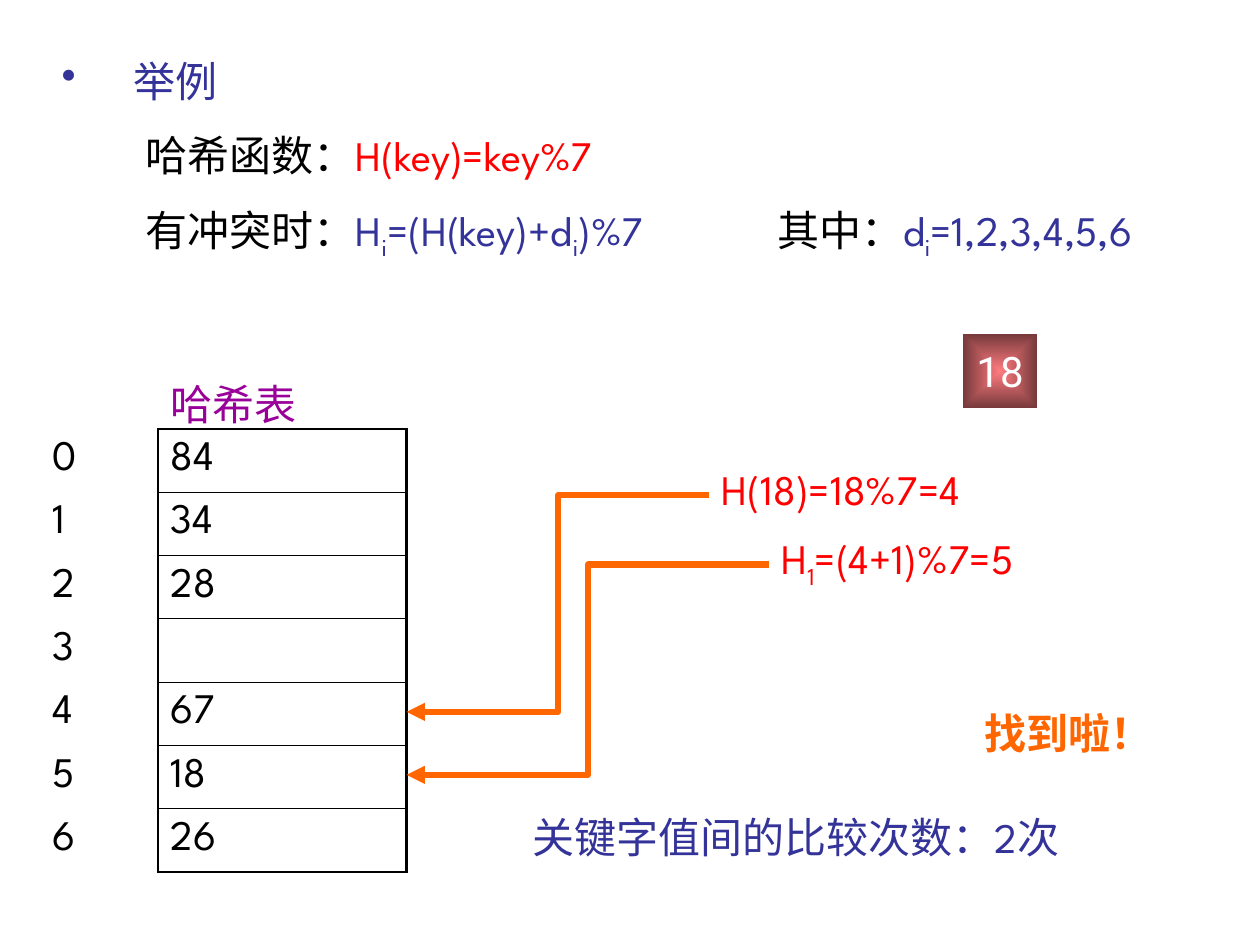
import pptx
import pptx.util
import pptx.dml.color
import pptx.enum.shapes
import pptx.enum.text
import pptx.oxml.ns
import pptx.oxml.xmlchemy

Pt = pptx.util.Pt
qn = pptx.oxml.ns.qn
ALIGN = pptx.enum.text.PP_ALIGN
MIDDLE = pptx.enum.text.MSO_ANCHOR.MIDDLE
SHAPE = pptx.enum.shapes.MSO_SHAPE
ELBOW = pptx.enum.shapes.MSO_CONNECTOR.ELBOW

COLORS = {
    "black": "000000", "white": "FFFFFF", "blue": "333399", "red": "FF0000",
    "purple": "990099", "orange": "FF6600", "pink": "FF7C80", "wine": "76393B",
}
LATIN = "League Spartan"
HAN = "Noto Sans CJK SC"
KEYS = ["84", "34", "28", "", "67", "18", "26"]


def rgb(name):
    return pptx.dml.color.RGBColor.from_string(COLORS[name])


def child(parent, tag, **attrs):
    node = pptx.oxml.xmlchemy.OxmlElement(tag)
    for key, value in attrs.items():
        node.set(key, value)
    parent.append(node)
    return node


def style(run, color, face=LATIN, bold=False):
    run.font.size = Pt(24)
    run.font.name = face
    run.font.bold = bold
    run.font.color.rgb = rgb(color)
    child(run.font._element, "a:ea", typeface=HAN)


def add_text(slide, box, parts, face=LATIN, bold=False, wrap=True, align=ALIGN.JUSTIFY):
    frame = slide.shapes.add_textbox(*map(Pt, box)).text_frame
    frame.word_wrap = wrap
    para = frame.paragraphs[0]
    para.alignment = align
    for text, color, *sub in parts:
        run = para.add_run()
        run.text = text
        style(run, color, face, bold)
        if sub:
            run.font._element.set("baseline", "-25000")
    return para


def indent(para, left, bullet=None):
    props = para._p.get_or_add_pPr()
    props.set("marL", str(Pt(left)))
    if bullet:
        props.set("indent", str(-Pt(left)))
        tint = child(props, "a:buClr")
        child(tint, "a:srgbClr", val=COLORS["blue"])
        child(props, "a:buChar", char=bullet)


def add_edge(cell, side, width):
    line = child(cell._tc.get_or_add_tcPr(), "a:ln" + side, w=str(Pt(width)))
    fill = child(line, "a:solidFill")
    child(fill, "a:srgbClr", val=COLORS["black"])


def fill_cell(cell, text, color, edges):
    for side, width in edges:
        add_edge(cell, side, width)
    cell.fill.background()
    cell.vertical_anchor = MIDDLE
    if text:
        cell.text_frame.text = text
        style(cell.text_frame.paragraphs[0].runs[0], color)


def add_table(slide):
    thick, thin = 1.47, 0.45
    count = len(KEYS)
    high = 36.2
    frame = slide.shapes.add_table(count + 1, 2, Pt(22.6), Pt(208.8), Pt(209.8), Pt(high * (count + 1)))
    table = frame.table
    table.first_row = table.horz_banding = False
    table._tbl.tblPr.find(qn("a:tableStyleId")).text = "{2D5ABB26-0587-4C30-8999-92F81FD0307C}"
    table.columns[0].width = Pt(67.8)
    table.columns[1].width = Pt(142)
    for row in table.rows:
        row.height = Pt(high)
    fill_cell(table.cell(0, 0), "", "black", [])
    fill_cell(table.cell(0, 1), "哈希表", "purple", [("B", thick)])
    for slot, key in enumerate(KEYS):
        top = thick if slot == 0 else thin
        base = thick if slot == count - 1 else thin
        fill_cell(table.cell(slot + 1, 0), str(slot), "black", [("R", thick)])
        fill_cell(table.cell(slot + 1, 1), key, "black",
                  [("L", thick), ("R", thick), ("T", top), ("B", base)])


def add_key(slide):
    tile = slide.shapes.add_shape(SHAPE.RECTANGLE, Pt(550.2), Pt(190.8), Pt(42.5), Pt(42.5))
    tile.shadow.inherit = False
    tile.line.fill.background()
    tile.fill.gradient()
    for stop, color, place in zip(tile.fill.gradient_stops, ("pink", "wine"), (0, 1)):
        stop.color.rgb = rgb(color)
        stop.position = place
    grad = tile._element.spPr.find(qn("a:gradFill"))
    grad.remove(grad.find(qn("a:lin")))
    shade = child(grad, "a:path", path="rect")
    child(shade, "a:fillToRect", **dict.fromkeys("ltrb", "50000"))
    frame = tile.text_frame
    frame.word_wrap = False
    frame.vertical_anchor = MIDDLE
    frame.text = "18"
    frame.paragraphs[0].alignment = ALIGN.CENTER
    style(frame.paragraphs[0].runs[0], "white", "Roboto")


def add_arrow(slide, start, end):
    link = slide.shapes.add_connector(ELBOW, *map(Pt, start + end))
    link.line.color.rgb = rgb("orange")
    link.line.width = Pt(3.5)
    child(link.line._get_or_add_ln(), "a:tailEnd", type="triangle")
    child(link._element.spPr, "a:effectLst")


def main():
    deck = pptx.Presentation()
    deck.slide_width, deck.slide_height = Pt(720), Pt(540)
    slide = deck.slides.add_slide(deck.slide_layouts[6])

    left, top, step, wide = 28.1, 28.1, 42.5, 651.6
    lines = [
        [("举例", "blue")],
        [("哈希函数：", "black"), ("H(key)=key%7", "red")],
        [("有冲突时：", "black"), ("H", "blue"), ("i", "blue", True),
         ("=(H(key)+d", "blue"), ("i", "blue", True), (")%7", "blue")],
    ]
    for i, parts in enumerate(lines):
        para = add_text(slide, (left, top + i * step, wide, step), parts)
        if i:
            indent(para, 48)
        else:
            indent(para, 41, "•")
    add_text(slide, (437, top + 2 * step, 254.9, step),
             [("其中：", "black"), ("d", "blue"), ("i", "blue", True), ("=1,2,3,4,5,6", "blue")])

    add_table(slide)
    add_key(slide)

    add_text(slide, (405.4, 261.4, 190, step), [("H(18)=18%7=4", "red")])
    add_text(slide, (439.4, 301, 190, step),
             [("H", "red"), ("1", "red", True), ("=(4+1)%7=5", "red")])
    add_arrow(slide, (405.4, 283), (232.4, 406.8))
    add_arrow(slide, (439.4, 322.6), (232.4, 442.8))

    add_text(slide, (555.8, 401, 108, 36), [("找到啦！", "orange")], HAN, True, False, ALIGN.LEFT)
    add_text(slide, (297.4, 460, 377.3, 36), [("关键字值间的比较次数：2次", "blue")], align=ALIGN.LEFT)

    deck.save("out.pptx")


if __name__ == "__main__":
    main()
